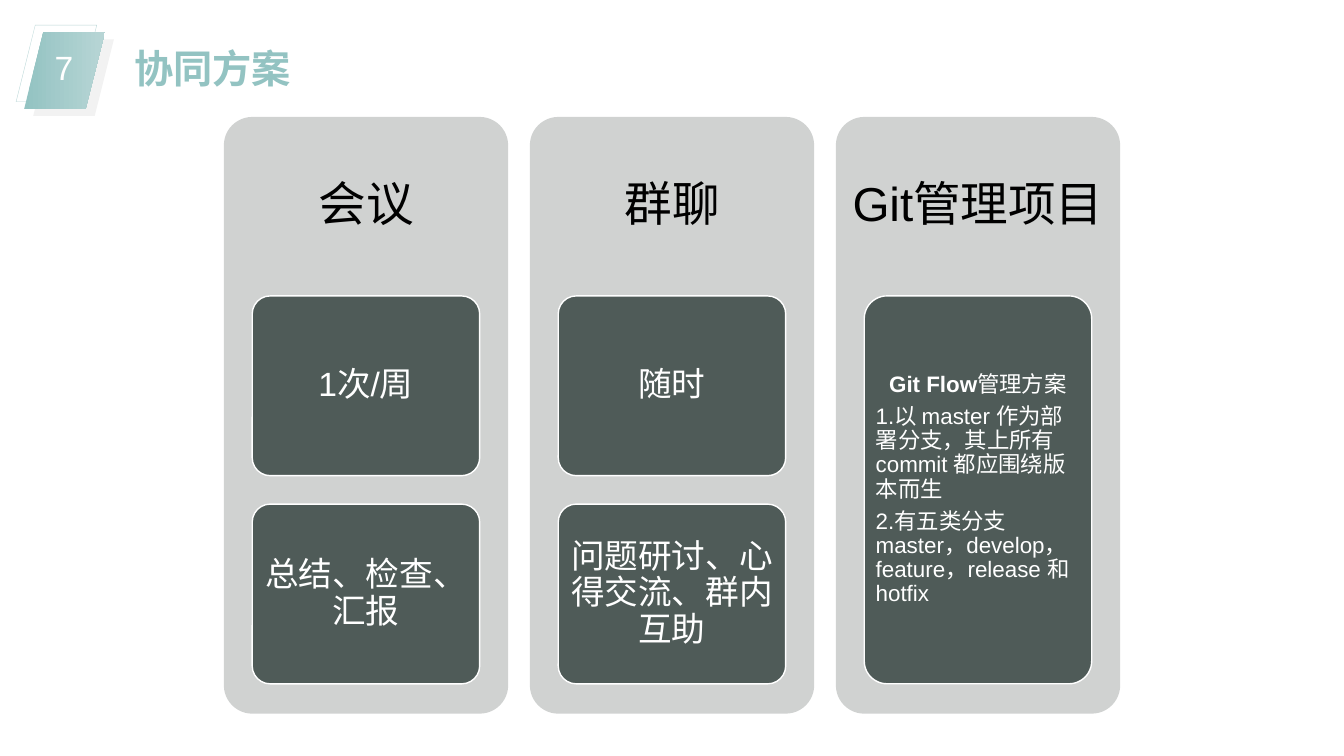
from pptx import Presentation
from pptx.dml.color import RGBColor
from pptx.enum.shapes import MSO_SHAPE as Kind
from pptx.enum.text import MSO_ANCHOR as Anchor, MSO_AUTO_SIZE as Fit, PP_ALIGN as Align
from pptx.util import Inches, Pt

WIDE, HIGH = 13.33, 7.5
TEAL, MIST, PALE = "93C3C2", "B7D5D5", "BAD7D7"
GREY, DARK, ASH = "D0D2D1", "4F5B58", "F2F2F2"
WHITE, BLACK = "FFFFFF", "000000"

FLOW = [
    [("Git Flow", True), ("管理方案", False)],
    [("1.以 master 作为部署分支，其上所有 commit 都应围绕版本而生", False)],
    [("2.有五类分支 master，develop，feature，release 和 hotfix", False)],
]
CARDS = [
    ("会议", 24, ["1次/周", "总结、检查、汇报"]),
    ("群聊", 24, ["随时", "问题研讨、心得交流、群内互助"]),
    ("Git管理项目", 16, [FLOW]),
]


def tint(code):
    """Turn a hex string into a colour."""
    return RGBColor.from_string(code)


def apply(item, form):
    """Set every attribute named in a dict of format values."""
    for name, value in form.items():
        setattr(item, name, value)


def write(frame, paras, size, hue, align=Align.CENTER, lead=0.9, after=0.35, pad=(0.1, 0.05), **form):
    """Fill a text frame with paragraphs of (text, bold) runs."""
    if isinstance(paras, str):
        paras = [[(paras, False)]]
    side, edge = (Inches(gap) for gap in pad)
    base = dict(word_wrap=True, vertical_anchor=Anchor.MIDDLE, margin_left=side,
                margin_right=side, margin_top=edge, margin_bottom=edge)
    apply(frame, {**base, **form})
    for row, runs in enumerate(paras):
        para = frame.add_paragraph() if row else frame.paragraphs[0]
        apply(para, dict(alignment=Align.LEFT if row else align, line_spacing=lead,
                         space_before=Pt(0), space_after=Pt(size * after)))
        for text, bold in runs:
            run = para.add_run()
            run.text = text
            apply(run.font, dict(name="Arial", size=Pt(size), bold=bold))
            run.font.color.rgb = tint(hue)


def draw(slide, kind, box, fill=None, line=None, width=1):
    """Add a flat preset shape with an optional fill and line."""
    shape = slide.shapes.add_shape(kind, *map(Inches, box))
    shape.shadow.inherit = False
    if fill:
        shape.fill.solid()
        shape.fill.fore_color.rgb = tint(fill)
    else:
        shape.fill.background()
    if line:
        shape.line.color.rgb = tint(line)
        shape.line.width = Pt(width)
    else:
        shape.line.fill.background()
    return shape


def label(slide, box, *args, **form):
    """Add a text box and write into it."""
    write(slide.shapes.add_textbox(*map(Inches, box)).text_frame, *args, **form)


def badge(slide, box, mark):
    """Draw the slanted number badge with its outline and shade."""
    x, y, w, h = box
    draw(slide, Kind.PARALLELOGRAM, (x - 0.08, y - 0.07, w, h), line=PALE, width=0.25)
    draw(slide, Kind.PARALLELOGRAM, (x + 0.09, y + 0.07, w, h), ASH)
    face = draw(slide, Kind.PARALLELOGRAM, box)
    face.fill.gradient()
    face.fill.gradient_angle = 0
    for stop, place, hue in zip(face.fill.gradient_stops, (0, 0.99), (TEAL, MIST)):
        stop.position = place
        stop.color.rgb = tint(hue)
    label(slide, (x + 0.09, y + 0.04, 0.61, 0.54), mark, 24, WHITE,
          lead=1.2, after=0, word_wrap=False)


def head(slide, box, text):
    """Place and format the title placeholder."""
    title = slide.shapes.title
    apply(title, dict(zip(("left", "top", "width", "height"), map(Inches, box))))
    write(title.text_frame, [[(text, True)]], 28, TEAL, Align.JUSTIFY, 1, 0,
          vertical_anchor=Anchor.TOP, auto_size=Fit.SHAPE_TO_FIT_TEXT)


def card(slide, box, name, size, tiles):
    """Draw one card with a heading above equal stacked tiles."""
    x, y, w, h = box
    draw(slide, Kind.ROUNDED_RECTANGLE, box, GREY).adjustments[0] = 0.1
    label(slide, (x, y, w, h * 0.3), name, 34, BLACK, pad=(0.14, 0.14))
    gap = w * 0.1
    tall = (h * 0.65 - gap * (len(tiles) - 1)) / len(tiles)
    for row, text in enumerate(tiles):
        spot = (x + gap, y + h * 0.3 + row * (tall + gap), w * 0.8, tall)
        tile = draw(slide, Kind.ROUNDED_RECTANGLE, spot, DARK, WHITE)
        tile.adjustments[0] = 0.1
        write(tile.text_frame, text, size, WHITE, pad=(size * 0.003, size * 0.002))


def board(slide, box, cards):
    """Spread the cards evenly across a box."""
    x, y, w, h = box
    wide = 2.82
    step = (w - wide) / (len(cards) - 1)
    for col, parts in enumerate(cards):
        card(slide, (x + col * step, y, wide, h), *parts)


def main():
    """Build the slide and save it."""
    deck = Presentation()
    apply(deck, dict(slide_width=Inches(WIDE), slide_height=Inches(HIGH)))
    slide = deck.slides.add_slide(deck.slide_layouts[5])
    badge(slide, (0.24, 0.32, 0.8, 0.76), "7")
    head(slide, (1.23, 0.39, 2.6, 0.57), "协同方案")
    board(slide, (2.22, 1.16, 8.89, 5.92), CARDS)
    deck.save("out.pptx")


if __name__ == "__main__":
    main()
